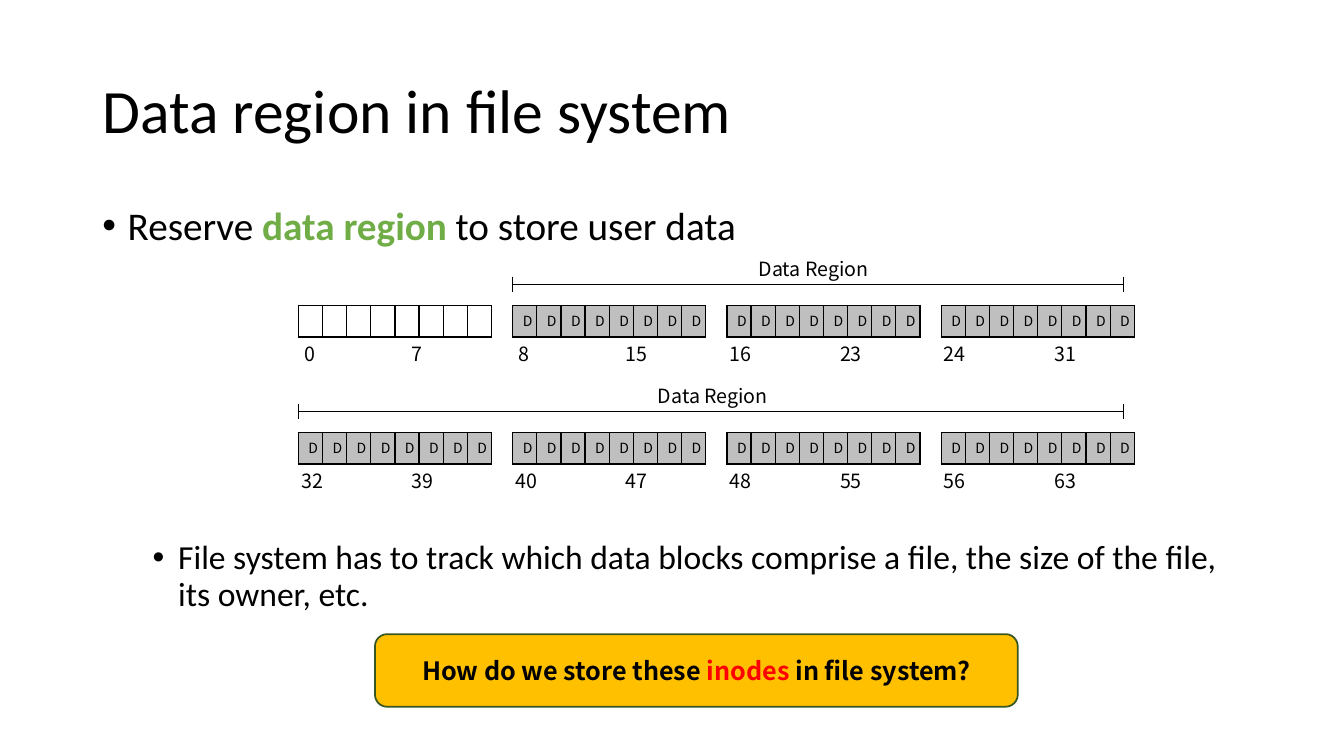
"""Build the slide on the data region of a file system."""
from dataclasses import dataclass

from lxml import etree
from pptx import Presentation
from pptx.dml.color import RGBColor
from pptx.enum.shapes import MSO_CONNECTOR, MSO_SHAPE
from pptx.enum.text import MSO_ANCHOR, MSO_AUTO_SIZE, PP_ALIGN
from pptx.oxml.ns import qn
from pptx.util import Cm, Pt

STRAIGHT = MSO_CONNECTOR.STRAIGHT
ROUNDED = MSO_SHAPE.ROUNDED_RECTANGLE
MIDDLE = MSO_ANCHOR.MIDDLE
GROW, FIXED = MSO_AUTO_SIZE.SHAPE_TO_FIT_TEXT, MSO_AUTO_SIZE.NONE
CENTER, LEFT = PP_ALIGN.CENTER, PP_ALIGN.LEFT

TEXT_FONT, DIAGRAM_FONT = "Calibri", "Noto Sans CJK KR"
BLACK, WHITE, GRAY = "000000", "FFFFFF", "BFBFBF"
GREEN, DARK_GREEN, GOLD, RED = "70AD47", "385723", "FFC000", "FF0000"

BLOCKS_PER_GROUP, GROUPS_PER_ROW = 8, 4
GROUP_LEFT, GROUP_PITCH = 7.52, 5.4
BLOCK_WIDTH, BLOCK_HEIGHT = 0.58, 0.79
REGION_RIGHT = 28.32


@dataclass(frozen=True)
class Piece:
    text: str
    color: str = BLACK
    bold: bool = False


@dataclass(frozen=True)
class DiskRow:
    top: float
    first_block: int
    reserved_groups: int
    label_left: float


@dataclass(frozen=True)
class Bullet:
    pieces: tuple[Piece, ...]
    size: float
    indent: float
    space_before: float


DISK_ROWS = (DiskRow(7.7, 0, 1, 18.87), DiskRow(10.9, 32, 0, 16.33))
BULLETS = (
    Bullet((Piece("Reserve "), Piece("data region ", GREEN, True),
            Piece("to store user data")), 28, 0.64, 0),
    Bullet((Piece("File system has to track which data blocks comprise a file, "
                  "the size of the file, its owner, etc."),), 24, 1.91, 208.8),
)
QUESTION = (Piece("How do we store these ", BLACK, True), Piece("inodes", RED, True),
            Piece(" in file system?", BLACK, True))


def rgb(value: str) -> RGBColor:
    """Turn a hex string into a colour."""
    return RGBColor.from_string(value)


def write(paragraph, pieces: tuple[Piece, ...], size: float, face: str) -> None:
    """Fill a paragraph with formatted pieces of text."""
    for piece in pieces:
        run = paragraph.add_run()
        run.text = piece.text
        run.font.name, run.font.size = face, Pt(size)
        run.font.bold = piece.bold
        run.font.color.rgb = rgb(piece.color)


def add_label(slide, left: float, top: float, width: float, text: str):
    """Add a diagram label and return its paragraph."""
    label = slide.shapes.add_textbox(Cm(left), Cm(top), Cm(width), Cm(0.86))
    label.text_frame.word_wrap = True
    label.text_frame.auto_size = GROW
    paragraph = label.text_frame.paragraphs[0]
    write(paragraph, (Piece(text),), 14, DIAGRAM_FONT)
    return paragraph


def add_line(slide, x1: float, y1: float, x2: float, y2: float) -> None:
    """Add a thin black line without a shadow."""
    line = slide.shapes.add_connector(STRAIGHT, Cm(x1), Cm(y1), Cm(x2), Cm(y2))
    line.line.color.rgb = rgb(BLACK)
    line.line.width = Pt(1)
    etree.SubElement(line._element.spPr, qn("a:effectLst"))


def add_borders(cell) -> None:
    """Draw black borders on every side of a cell."""
    properties = cell._tc.get_or_add_tcPr()
    for side in ("L", "R", "T", "B"):
        border = etree.SubElement(properties, qn(f"a:ln{side}"), w=str(Pt(1)))
        fill = etree.SubElement(border, qn("a:solidFill"))
        etree.SubElement(fill, qn("a:srgbClr"), val=BLACK)


def add_group(slide, left: float, top: float, is_data: bool) -> None:
    """Add one group of disk blocks as a table."""
    table = slide.shapes.add_table(
        1, BLOCKS_PER_GROUP, Cm(left), Cm(top),
        Cm(BLOCK_WIDTH * BLOCKS_PER_GROUP), Cm(BLOCK_HEIGHT)).table
    table.first_row = table.horz_banding = False
    for column in table.columns:
        column.width = Cm(BLOCK_WIDTH)
    for block in table.iter_cells():
        add_borders(block)
        block.fill.solid()
        block.fill.fore_color.rgb = rgb(GRAY if is_data else WHITE)
        paragraph = block.text_frame.paragraphs[0]
        paragraph.alignment = CENTER
        if is_data:
            write(paragraph, (Piece("D"),), 10, DIAGRAM_FONT)
        else:
            etree.SubElement(paragraph._p, qn("a:endParaRPr"), sz="1000")


def add_block_range(slide, left: float, top: float, first: int) -> None:
    """Number the first and last block of a group."""
    shift = 0.1 if first < 10 else 0.18
    last = first + BLOCKS_PER_GROUP - 1
    paragraph = add_label(slide, left - shift, top, 5.15, f"{first}\t{last}")
    stops = etree.SubElement(paragraph._p.get_or_add_pPr(), qn("a:tabLst"))
    etree.SubElement(stops, qn("a:tab"), pos=str(Cm(2.6 + shift)), algn="l")


def add_disk_row(slide, row: DiskRow) -> None:
    """Add a row of block groups with the bracket over its data region."""
    for index in range(GROUPS_PER_ROW):
        left = GROUP_LEFT + index * GROUP_PITCH
        add_group(slide, left, row.top, index >= row.reserved_groups)
        add_block_range(slide, left, row.top + 0.79,
                        row.first_block + index * BLOCKS_PER_GROUP)
    region_left = GROUP_LEFT + row.reserved_groups * GROUP_PITCH
    bracket = row.top - 0.53
    add_line(slide, region_left, bracket, REGION_RIGHT, bracket)
    for end in (region_left, REGION_RIGHT):
        add_line(slide, end, bracket - 0.2, end, bracket + 0.2)
    add_label(slide, row.label_left, row.top - 1.35, 3.45, "Data Region")


def add_title(slide) -> None:
    """Place and format the slide title."""
    title = slide.shapes.title
    title.left, title.top, title.width, title.height = Cm(2.33), Cm(1.02), Cm(29.21), Cm(3.68)
    title.text_frame.auto_size = FIXED
    title.text_frame.vertical_anchor = MIDDLE
    heading = title.text_frame.paragraphs[0]
    heading.alignment, heading.line_spacing = LEFT, 0.9
    write(heading, (Piece("Data region in file system"),), 44, TEXT_FONT)


def add_bullets(slide) -> None:
    """Add the bulleted statements around the diagram."""
    frame = slide.shapes.add_textbox(Cm(2.33), Cm(5.07), Cm(29.21), Cm(12.09)).text_frame
    frame.word_wrap = True
    for index, bullet in enumerate(BULLETS):
        paragraph = frame.add_paragraph() if index else frame.paragraphs[0]
        paragraph.level = index
        paragraph.line_spacing = 0.9
        paragraph.space_before = Pt(bullet.space_before)
        properties = paragraph._p.get_or_add_pPr()
        properties.set("marL", str(Cm(bullet.indent)))
        properties.set("indent", str(-Cm(0.64)))
        etree.SubElement(properties, qn("a:buFont"), typeface="Arial")
        etree.SubElement(properties, qn("a:buChar"), char="•")
        write(paragraph, bullet.pieces, bullet.size, TEXT_FONT)


def add_question(slide) -> None:
    """Add the closing question in a rounded box."""
    question = slide.shapes.add_shape(ROUNDED, Cm(9.45), Cm(15.98), Cm(16.2), Cm(1.83))
    question.shadow.inherit = False
    question.fill.solid()
    question.fill.fore_color.rgb = rgb(GOLD)
    question.line.color.rgb = rgb(DARK_GREEN)
    question.line.width = Pt(1.25)
    question.text_frame.vertical_anchor = MIDDLE
    paragraph = question.text_frame.paragraphs[0]
    paragraph.alignment = CENTER
    write(paragraph, QUESTION, 18, DIAGRAM_FONT)


def main() -> None:
    """Build and save the presentation."""
    deck = Presentation()
    deck.slide_width, deck.slide_height = Cm(33.87), Cm(19.05)
    slide = deck.slides.add_slide(deck.slide_layouts[5])
    add_title(slide)
    add_bullets(slide)
    for row in DISK_ROWS:
        add_disk_row(slide, row)
    add_question(slide)
    deck.save("out.pptx")


if __name__ == "__main__":
    main()
